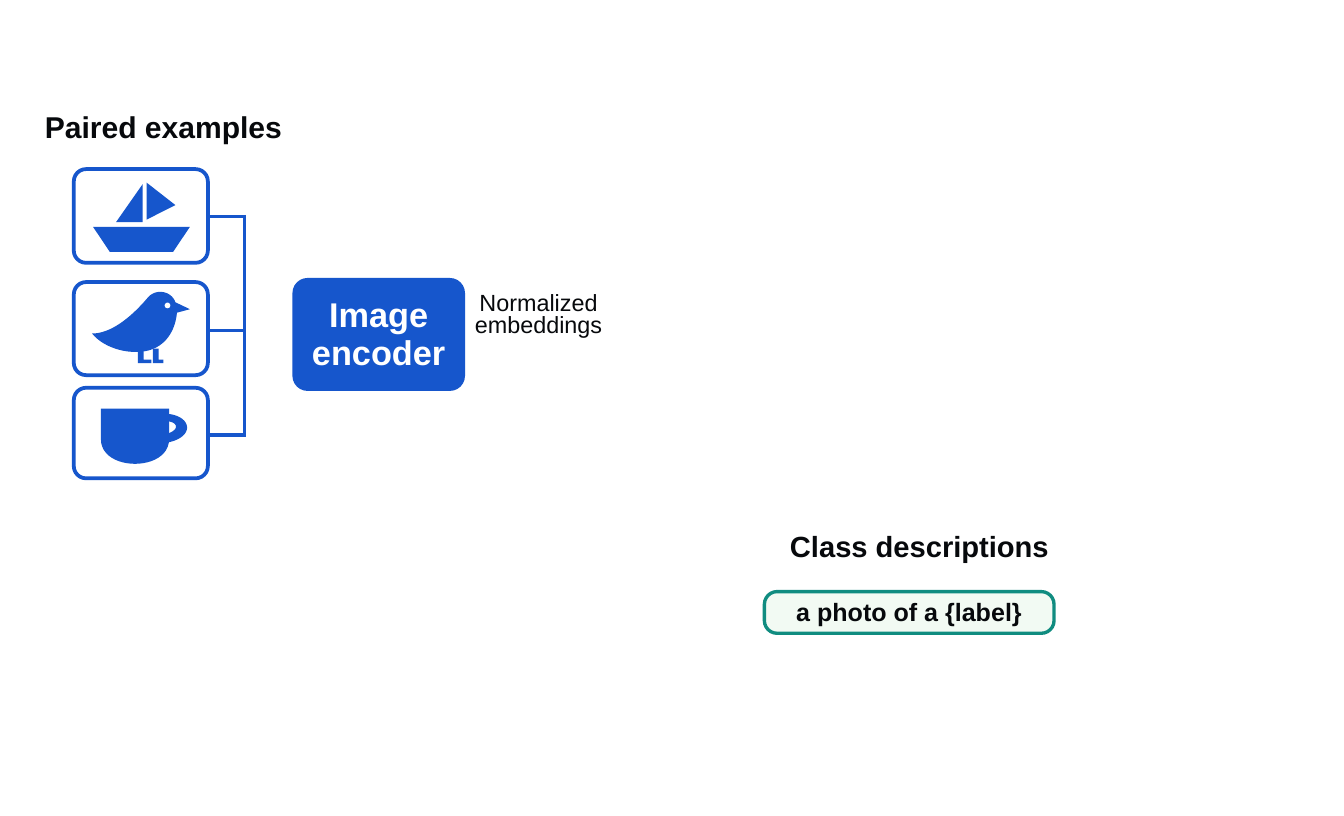
from lxml import etree
from pptx import Presentation
from pptx import util as u
from pptx.dml import color
from pptx.enum import shapes, text
from pptx.oxml import ns

Cm = u.Cm
COLOURS = {
    "blue": "1656CC",
    "teal": "108C80",
    "mint": "F2FAF3",
    "ink": "07090C",
    "white": "FFFFFF",
}
RGB = {name: color.RGBColor.from_string(value) for name, value in COLOURS.items()}


def write(box, words, size, colour="ink", bold=False, align="LEFT", anchor="TOP", spacing=1.0):
    frame = box.text_frame
    frame.word_wrap = True
    frame.auto_size = text.MSO_AUTO_SIZE.NONE
    frame.vertical_anchor = text.MSO_ANCHOR[anchor]
    frame.margin_left = frame.margin_right = 0
    frame.margin_top = frame.margin_bottom = 0
    for index, line in enumerate(words.split("\n")):
        para = frame.add_paragraph() if index else frame.paragraphs[0]
        para.alignment = text.PP_ALIGN[align]
        para.line_spacing = spacing
        para.space_before = u.Pt(0)
        span = para.add_run()
        span.text = line
        span.font.name = "Arial"
        span.font.size = u.Pt(size)
        span.font.bold = bold
        span.font.color.rgb = RGB[colour]


def draw_icon_part(page, start, *segments):
    points = [start]
    for segment in segments:
        if len(segment) == 2:
            points.append(segment)
            continue
        curve = [points[-1], segment[:2], segment[2:4], segment[4:]]
        for step in range(1, 25):
            t = step / 24
            weights = ((1 - t) ** 3, 3 * t * (1 - t) ** 2, 3 * t ** 2 * (1 - t), t ** 3)
            points.append(tuple(sum(w * p[axis] for w, p in zip(weights, curve)) for axis in (0, 1)))
    corners = [(Cm(x), Cm(y)) for x, y in points]
    builder = page.shapes.build_freeform(*corners[0])
    builder.add_line_segments(corners[1:], close=True)
    part = builder.convert_to_shape()
    part.shadow.inherit = False
    part.fill.solid()
    part.fill.fore_color.rgb = RGB["blue"]
    part.line.fill.background()


deck = Presentation()
deck.slide_width, deck.slide_height = Cm(42.6), Cm(25.86)
page = deck.slides.add_slide(deck.slide_layouts[5])

heading = page.shapes.title
heading.left, heading.top, heading.width, heading.height = Cm(1.42), Cm(3.45), Cm(7.8), Cm(1.19)
write(heading, "Paired examples", size=27, bold=True)

panels = {}
for name, left, top, width, height, radius, fill, outline, weight in [
    ("boat", 2.34, 5.36, 4.25, 2.97, 0.39, "white", "blue", 3.38),
    ("bird", 2.34, 8.94, 4.25, 2.95, 0.39, "white", "blue", 3.38),
    ("cup", 2.34, 12.29, 4.25, 2.87, 0.39, "white", "blue", 3.38),
    ("encoder", 9.27, 8.81, 5.47, 3.58, 0.48, "blue", None, 0),
    ("prompt", 24.23, 18.75, 9.18, 1.32, 0.4, "mint", "teal", 3),
]:
    panel = page.shapes.add_shape(
        shapes.MSO_SHAPE.ROUNDED_RECTANGLE, Cm(left), Cm(top), Cm(width), Cm(height))
    panel.adjustments[0] = radius / height
    panel.shadow.inherit = False
    panel.fill.solid()
    panel.fill.fore_color.rgb = RGB[fill]
    if outline:
        panel.line.color.rgb = RGB[outline]
        panel.line.width = u.Pt(weight)
    else:
        panel.line.fill.background()
    panels[name] = panel

draw_icon_part(page, (3.68, 7.04), (4.52, 5.84), (4.52, 7.04))
draw_icon_part(page, (4.65, 5.79), (5.56, 6.5), (4.65, 6.96))
draw_icon_part(page, (2.95, 7.19), (6.02, 7.19), (5.49, 7.98), (3.48, 7.98))

draw_icon_part(
    page, (2.92, 10.57),
    (3.56, 10.57, 4.22, 9.98, 4.67, 9.45), (4.93, 9.12, 5.44, 9.22, 5.56, 9.58),
    (6.02, 9.8), (5.61, 9.91),
    (5.54, 10.67, 5.05, 11.15, 4.37, 11.15), (3.76, 11.18, 3.18, 10.9, 2.92, 10.57))
for heel, toe in [(4.37, 4.8), (4.85, 5.18)]:
    shin = heel + 0.18
    draw_icon_part(page, (heel, 11.05), (shin, 11.05), (shin, 11.4),
                   (toe, 11.4), (toe, 11.51), (heel, 11.51))
eye = page.shapes.add_shape(shapes.MSO_SHAPE.OVAL, Cm(5.22), Cm(9.59), Cm(0.18), Cm(0.18))
eye.shadow.inherit = False
eye.fill.solid()
eye.fill.fore_color.rgb = RGB["white"]
eye.line.fill.background()

draw_icon_part(page, (4.9, 13.13), (6.15, 12.95, 6.38, 14.02, 4.93, 14.07),
               (4.93, 13.79), (5.77, 13.79, 5.82, 13.23, 4.93, 13.36))
draw_icon_part(page, (3.2, 12.95), (5.36, 12.95), (5.36, 13.92),
               (5.36, 14.96, 3.2, 14.96, 3.2, 13.92))

spine = 7.75
branches = [(6.59, y, spine, y) for y in (6.86, 10.47, 13.79)]
for ends in branches + [(spine, 6.81, spine, 13.84)]:
    link = page.shapes.add_connector(shapes.MSO_CONNECTOR.STRAIGHT, *map(Cm, ends))
    link.line.color.rgb = RGB["blue"]
    link.line.width = u.Pt(3)
    etree.SubElement(link.element.spPr, ns.qn("a:effectLst"))

write(panels["encoder"], "Image\nencoder", size=30.8, colour="white", bold=True,
      align="CENTER", anchor="MIDDLE", spacing=u.Pt(33.8))
write(panels["prompt"], "a photo of a {label}", size=22.5, bold=True,
      align="CENTER", anchor="MIDDLE", spacing=u.Pt(24.8))

caption = page.shapes.add_textbox(Cm(14.87), Cm(9.3), Cm(4.4), Cm(1.6))
write(caption, "Normalized\nembeddings", size=21, align="CENTER", spacing=u.Pt(20.2))

class_heading = page.shapes.add_textbox(Cm(25.04), Cm(16.76), Cm(8.6), Cm(1.17))
write(class_heading, "Class descriptions", size=26.2, bold=True)

deck.save("out.pptx")
